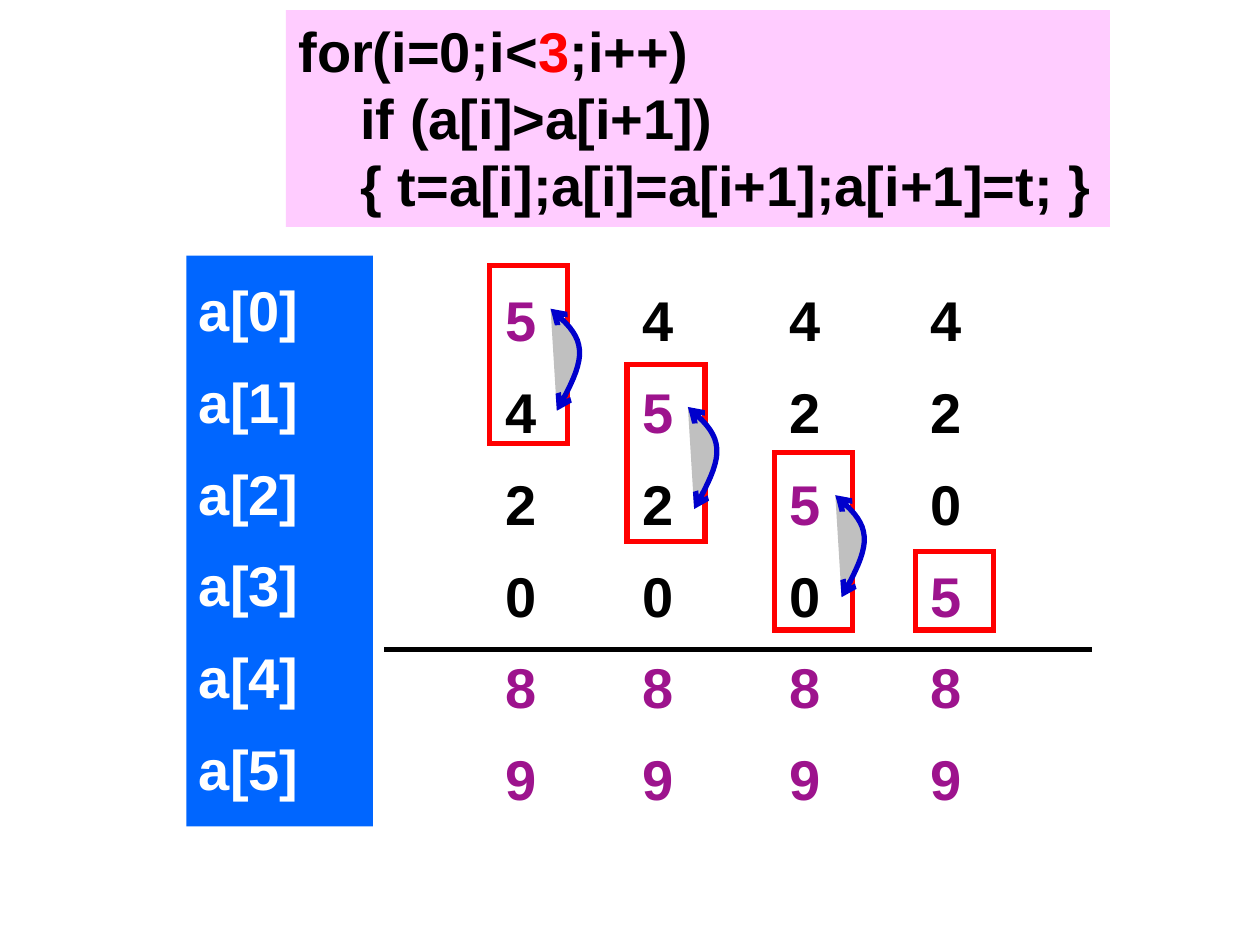
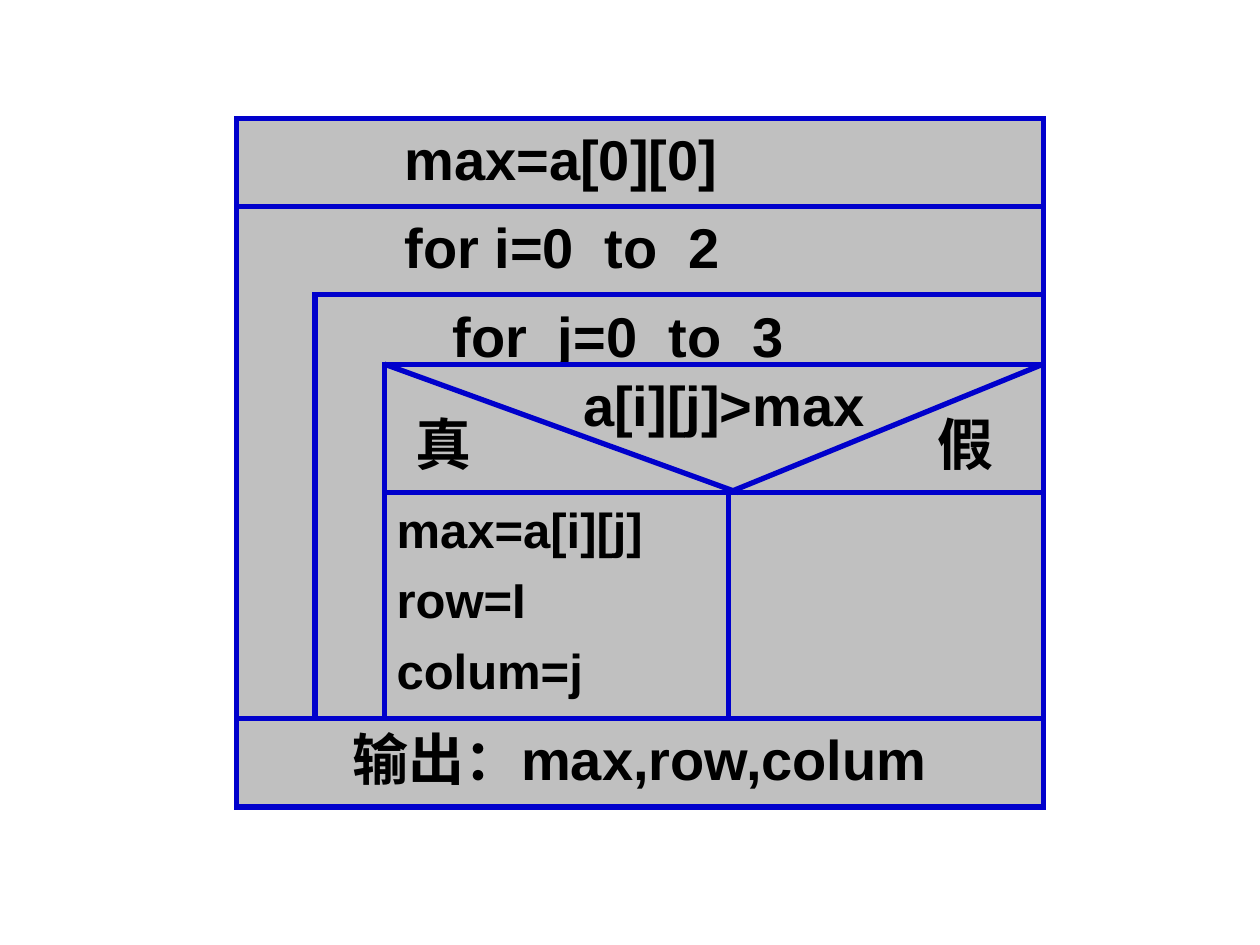
from pptx import Presentation
from pptx import util as u
from pptx.dml import color
from pptx.enum import shapes, text
from pptx.oxml import parse_xml
from pptx.oxml import ns

WIDE, HIGH = u.Inches(10), u.Inches(7.5)
COLS, ROWS = 100, 75
BLACK, WHITE, RED = "000000", "FFFFFF", "FF0000"
BLUE, NAVY, PINK = "0066FF", "0000CC", "FFCCFF"
GREY, PLUM = "C0C0C0", "9D138D"
RECT = shapes.MSO_SHAPE.RECTANGLE
FLOW = shapes.MSO_SHAPE.FLOWCHART_PROCESS
LEFT, MID = text.PP_ALIGN.LEFT, text.PP_ALIGN.CENTER

PASSES = [
    (39.1, 21.1, "542089", "589"),
    (50, 28.9, "452089", "589"),
    (61.7, 35.9, "425089", "589"),
    (72.9, 43.8, "420589", "589"),
]
SWAP = [
    [(0.5, 8.1), (1.5, 6.3), (2.4, 4.6), (2.3, 3.3)],
    [(2.3, 3.3), (2.2, 1.9), (1.1, 1), (0, 0)],
]
STEPS = 10


def rgb(code):
    return color.RGBColor.from_string(code)


def col(n):
    return round(WIDE * n / COLS)


def row(n):
    return round(HIGH * n / ROWS)


def extend(shape, tag, rest):
    ln = shape.line._get_or_add_ln()
    ln.append(parse_xml(f"<a:{tag} {ns.nsdecls('a')} {rest}/>"))


def paint(shape, fill=None, line=None):
    if fill:
        shape.fill.solid()
        shape.fill.fore_color.rgb = rgb(fill)
    else:
        shape.fill.background()
    if line:
        shape.line.color.rgb = rgb(line)
        shape.line.width = u.Pt(3)
        extend(shape, "miter", 'lim="800000"')
    else:
        shape.line.fill.background()
    shape.shadow.inherit = False


def write(shape, lines, size=32, top=0.5, pad=1, align=LEFT, lead=1, gap=0):
    frame = shape.text_frame
    form = {
        "word_wrap": False,
        "vertical_anchor": text.MSO_ANCHOR.TOP,
        "margin_left": col(pad),
        "margin_right": col(1),
        "margin_top": row(top),
        "margin_bottom": row(0.5),
    }
    for name, value in form.items():
        setattr(frame, name, value)
    for n, line in enumerate(lines):
        para = frame.paragraphs[0] if n == 0 else frame.add_paragraph()
        para.alignment = align
        para.line_spacing = lead
        para.space_before = u.Pt(gap if n else 0)
        for words, tone in line:
            run = para.add_run()
            run.text = words
            for name, value in {"name": "Arial", "size": u.Pt(size), "bold": True}.items():
                setattr(run.font, name, value)
            run.font.color.rgb = rgb(tone)


def box(slide, x, y, w, h, fill=None, line=None, kind=FLOW):
    shape = slide.shapes.add_shape(kind, col(x), row(y), col(w), row(h))
    paint(shape, fill, line)
    return shape


def label(slide, place, words, fill=None, line=None, **form):
    write(box(slide, *place, fill, line), [[(part, BLACK)] for part in words], **form)


def rule(slide, x1, y1, x2, y2, tone):
    line = slide.shapes.add_connector(
        shapes.MSO_CONNECTOR.STRAIGHT, col(x1), row(y1), col(x2), row(y2))
    line.line.color.rgb = rgb(tone)
    line.line.width = u.Pt(3)
    line._element.spPr.append(parse_xml(f"<a:effectLst {ns.nsdecls('a')}/>"))


def curve(points, t):
    s = 1 - t
    parts = (s ** 3, 3 * s * s * t, 3 * s * t * t, t ** 3)
    return tuple(sum(k * p[axis] for k, p in zip(parts, points)) for axis in (0, 1))


def swap(slide, x, y):
    dots = [SWAP[0][0]]
    dots += [curve(arc, n / STEPS) for arc in SWAP for n in range(1, STEPS + 1)]
    dots = [(col(x + dx), row(y + dy)) for dx, dy in dots]
    path = slide.shapes.build_freeform(*dots[0])
    path.add_line_segments(dots[1:], close=False)
    shape = path.convert_to_shape()
    paint(shape, GREY, NAVY)
    for end in ("headEnd", "tailEnd"):
        extend(shape, end, 'type="arrow"')


def stack(shape, cells):
    write(shape, [[cell] for cell in cells], lead=1.2, gap=6.4)


def sort(slide):
    rule(slide, 30.5, 51.55, 86.7, 51.55, BLACK)
    for x, y, digits, marked in PASSES:
        cells = [(d, PLUM if d in marked else BLACK) for d in digits]
        stack(box(slide, x, 21.1, 7.8, 45.3), cells)
        last = x == PASSES[-1][0]
        box(slide, x - 0.25, y, 6.2, 6.2 if last else 14.1, line=RED)
        if not last:
            swap(slide, x + 4.6, y + 3.4)
    names = box(slide, 14.8, 20.3, 14.8, 45.3, BLUE, kind=RECT)
    stack(names, [(f"a[{n}]", WHITE) for n in range(6)])
    code = box(slide, 22.7, 0.8, 65.4, 17.2, PINK, kind=RECT)
    write(code, [
        [("for(i=0;i<", BLACK), ("3", RED), (";i++)", BLACK)],
        [("    if (a[i]>a[i+1])", BLACK)],
        [("    { t=a[i];a[i]=a[i+1];a[i+1]=t; }", BLACK)],
    ])


def chart(slide):
    left, right, base = 18.8, 82.8, 57
    wide = right - left
    label(slide, (left, 16.4, wide, 47.7), ["for i=0  to  2"], GREY, NAVY, pad=13.3)
    label(slide, (25, 23.4, right - 25, base - 23.4), ["for  j=0  to  3"],
          GREY, NAVY, pad=10.9)
    label(slide, (30.5, 28.9, right - 30.5, base - 28.9),
          ["max=a[i][j]", "row=I", "colum=j"], GREY, NAVY, size=28, top=9.8, lead=1.2)
    label(slide, (45.3, 28.9, 25.8, 7), ["a[i][j]>max"])
    for x, word in ((32, "真"), (73.4, "假")):
        label(slide, (x, 32, 7.8, 7), [word])
    label(slide, (left, 9.4, wide, 7), ["max=a[0][0]"], GREY, NAVY, pad=13.3)
    label(slide, (left, base, wide, 7), ["输出：max,row,colum"], GREY, NAVY, align=MID)
    for ends in ((30.5, 39.1, right, 39.1), (57.8, 39.1, right, 28.9),
                 (30.5, 28.9, 58.6, 39.1), (57.8, base, 57.8, 39.1)):
        rule(slide, *ends, NAVY)


def main():
    deck = Presentation()
    deck.slide_width, deck.slide_height = WIDE, HIGH
    for draw in (sort, chart):
        draw(deck.slides.add_slide(deck.slide_layouts[6]))
    deck.save("out.pptx")


if __name__ == "__main__":
    main()
